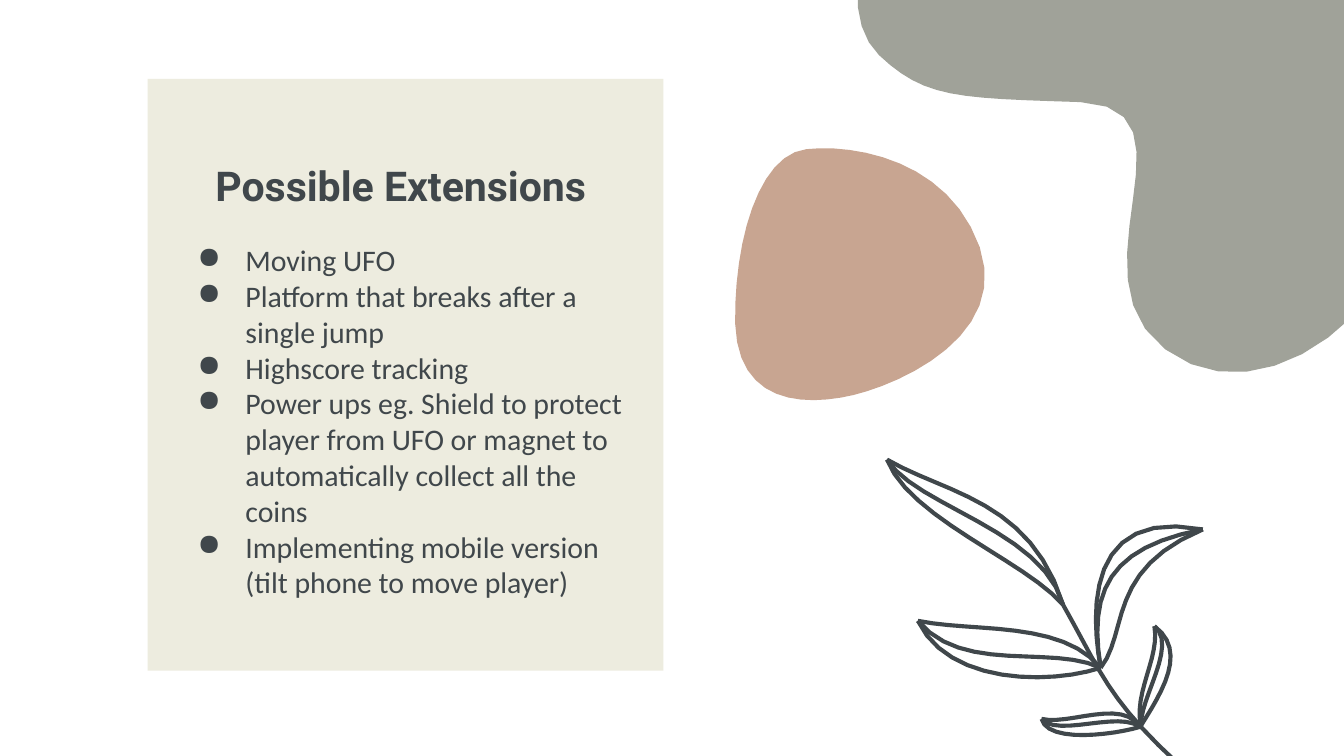
from lxml.etree import SubElement
from pptx import Presentation
from pptx.dml.color import RGBColor
from pptx.enum.shapes import MSO_SHAPE as SHAPE
from pptx.enum.text import MSO_ANCHOR as ANCHOR, PP_ALIGN as ALIGN
from pptx.oxml.ns import qn
from pptx.util import Cm, Pt

INK, CREAM, GREY, CLAY = "40474B", "EDECDF", "A0A299", "C8A591"
UNIT = 0.0254
STEPS = 12

IDEAS = [
    "Moving UFO",
    "Platform that breaks after a single jump",
    "Highscore tracking",
    "Power ups eg. Shield to protect player from UFO or magnet to automatically collect all the coins",
    "Implementing mobile version (tilt phone to move player)",
]

GREY_BLOB = [
    (654, 41), (688, 73), (711, 73), (804, 76), (898, 80), (793, 204), (867, 260),
    (941, 316), (1054, 225), (1054, 127), (1054, 30), (935, -116), (782, -108),
    (630, -100), (620, 9)]
CLAY_BLOB = [
    (600, 111), (636, 107), (706, 119), (729, 184), (751, 249), (672, 285), (635, 294),
    (597, 303), (549, 300), (547, 241), (546, 181), (564, 115)]

STEM = [(791, 450), (818, 499), (850, 542), (914, 601)]
LEAVES = [
    ((660, 342), (791, 450),
     [((708, 364), (756, 393)), ((700, 373), (755, 405)), ((695, 382), (748, 417))]),
    ((895, 394), (819, 497),
     [((835, 404), (816, 448)), ((842, 414), (819, 448)), ((848, 428), (832, 465))]),
    ((683, 462), (819, 497),
     [((730, 467), (780, 474)), ((725, 485), (775, 489)), ((720, 495), (772, 504))]),
    ((859, 466), (849, 540),
     [((857, 490), (850, 515)), ((864, 487), (855, 515)), ((871, 488), (864, 514))]),
    ((775, 535), (848, 541),
     [((800, 534), (828, 531)), ((796, 540), (825, 537)), ((792, 546), (822, 546))]),
]


def rgb(color):
    """Turn a hex string into a colour."""
    return RGBColor.from_string(color)


def paint(sp, color):
    """Give a shape a flat fill with no outline or shadow."""
    sp.fill.solid()
    sp.fill.fore_color.rgb = rgb(color)
    sp.line.fill.background()
    sp.shadow.inherit = False


def bezier(a, b, c, d):
    """List the points in EMU along one cubic curve."""
    out = []
    for step in range(STEPS + 1):
        t = step / STEPS
        u = 1 - t
        weights = u**3, 3 * u * u * t, 3 * u * t * t, t**3
        out.append(tuple(
            Cm(UNIT * sum(w * n for w, n in zip(weights, axis)))
            for axis in zip(a, b, c, d)))
    return out


def curve_through(a, p, q, d):
    """List the points of a curve that passes p and q at its thirds."""
    axes = list(zip(a, p, q, d))
    b = [(-5 * k + 18 * m - 9 * n + 2 * o) / 6 for k, m, n, o in axes]
    c = [(2 * k - 9 * m + 18 * n - 5 * o) / 6 for k, m, n, o in axes]
    return bezier(a, b, c, d)


def add_blob(s, pts, color):
    """Add a filled freeform made of a closed chain of cubic curves."""
    chain = pts + pts[:1]
    outline = [pt for i in range(0, len(pts), 3) for pt in bezier(*chain[i:i + 4])]
    builder = s.shapes.build_freeform(*outline[0])
    builder.add_line_segments(outline[1:])
    paint(builder.convert_to_shape(), color)


def add_branch(s, stem, leaves, color):
    """Add the stem and the leaf veins as one open freeform."""
    first = curve_through(*stem)
    builder = s.shapes.build_freeform(*first[0])
    builder.add_line_segments(first[1:], close=False)
    for tip, base, veins in leaves:
        for near, far in veins:
            pts = curve_through(tip, near, far, base)
            builder.move_to(*pts[0])
            builder.add_line_segments(pts[1:], close=False)
    sp = builder.convert_to_shape()
    sp.fill.background()
    sp.line.color.rgb = rgb(color)
    sp.line.width = Pt(2.2)
    sp.shadow.inherit = False


def add_panel(s, x, y, w, h, color):
    """Add a plain rectangle."""
    paint(s.shapes.add_shape(SHAPE.RECTANGLE, Cm(x), Cm(y), Cm(w), Cm(h)), color)


def add_box(s, x, y, w, h, anchor):
    """Add a wrapping text box and return its text frame."""
    tf = s.shapes.add_textbox(Cm(x), Cm(y), Cm(w), Cm(h)).text_frame
    tf.word_wrap = True
    tf.vertical_anchor = anchor
    tf.margin_left = tf.margin_right = tf.margin_top = tf.margin_bottom = Cm(0.25)
    return tf


def add_run(p, text, font, size, bold=False):
    """Add a run of dark text."""
    r = p.add_run()
    r.text = text
    r.font.name, r.font.size, r.font.bold = font, Pt(size), bold
    r.font.color.rgb = rgb(INK)


def add_bullet(p):
    """Give a paragraph a round bullet with a hanging indent."""
    ppr = p._p.get_or_add_pPr()
    ppr.set("marL", str(Cm(1.27)))
    ppr.set("indent", str(Cm(-0.91)))
    SubElement(SubElement(ppr, qn("a:buClr")), qn("a:srgbClr")).set("val", INK)
    SubElement(ppr, qn("a:buChar")).set("char", "●")


def main():
    """Build the slide and save it."""
    prs = Presentation()
    prs.slide_width, prs.slide_height = Cm(25.4), Cm(14.29)
    s = prs.slides.add_slide(prs.slide_layouts[6])

    add_panel(s, 2.79, 1.49, 9.75, 11.19, CREAM)
    add_branch(s, STEM, LEAVES, INK)
    add_blob(s, GREY_BLOB, GREY)
    add_blob(s, CLAY_BLOB, CLAY)

    p = add_box(s, 2.9, 2.77, 9.35, 1.45, ANCHOR.MIDDLE).paragraphs[0]
    p.alignment = ALIGN.CENTER
    add_run(p, "Possible Extensions", "Roboto", 22, bold=True)

    tf = add_box(s, 3.12, 4.32, 9.07, 7.49, ANCHOR.TOP)
    for i, idea in enumerate(IDEAS):
        p = tf.add_paragraph() if i else tf.paragraphs[0]
        add_bullet(p)
        add_run(p, idea, "Calibri", 16)

    prs.save("out.pptx")


if __name__ == "__main__":
    main()
